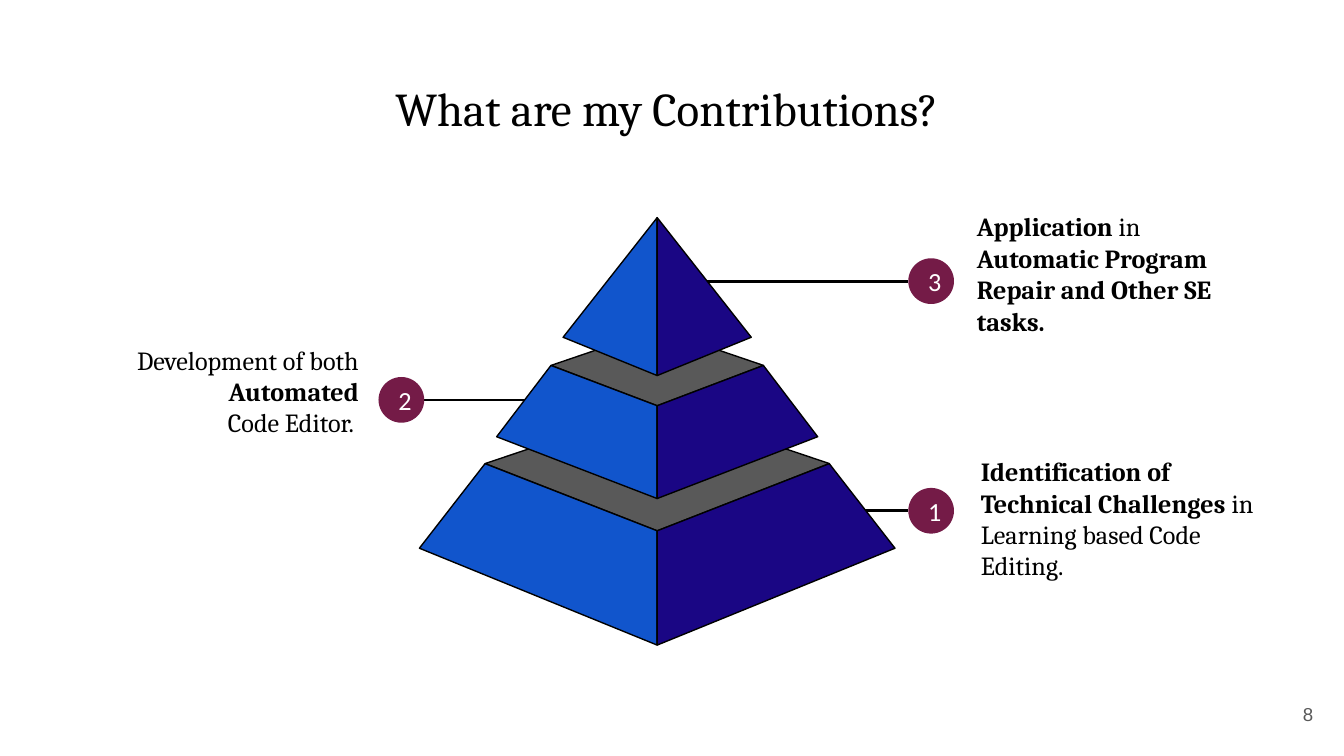
from lxml import etree
from pptx import Presentation
from pptx.dml.color import RGBColor
from pptx.enum.shapes import MSO_CONNECTOR, MSO_SHAPE
from pptx.enum.text import MSO_ANCHOR, PP_ALIGN
from pptx.oxml.ns import qn
from pptx.util import Pt

STRAIGHT = MSO_CONNECTOR.STRAIGHT
OVAL = MSO_SHAPE.OVAL
TOP, MIDDLE = MSO_ANCHOR.TOP, MSO_ANCHOR.MIDDLE
LEFT, CENTER, RIGHT = PP_ALIGN.LEFT, PP_ALIGN.CENTER, PP_ALIGN.RIGHT

COLORS = {
    "ink": "000000",
    "light": "FFFFFF",
    "grey": "595959",
    "left_face": "1155CC",
    "right_face": "1A0684",
    "badge": "741B47",
}
INSET = 7.2
BADGE = 24.5

# (shoulder half-width, foot half-width, back, shoulder, front, foot, base)
TIERS = [
    (92.2, 127.4, 100.8, 131.8, 167.8, 177.1, 229),
    (56.9, 86, 59.8, 79.2, 100.8, 117.4, 150.5),
    (0, 50.4, 0, 0, 0, 64.1, 84.6),
]

CALLOUTS = [
    {"number": "1", "badge": (486.6, 261.4), "pyramid_x": 460,
     "box": (518.4, 236.9, 165.6, 99.4), "align": LEFT,
     "runs": [("Identification of Technical Challenges ", True),
              ("in Learning based Code Editing.", False)]},
    {"number": "2", "badge": (202.8, 202), "pyramid_x": 295.2,
     "box": (33.8, 177.1, 165.6, 81.4), "align": RIGHT,
     "runs": [("Development of both", False), (" Automated", True),
              ("\n", True), ("Code Editor. ", False)]},
    {"number": "3", "badge": (486.6, 138.4), "pyramid_x": 378,
     "box": (516.2, 105.8, 150.5, 115.2), "align": LEFT,
     "runs": [("Application", True), (" in ", False),
              ("Automatic Program Repair and Other SE tasks.", True)]},
]


def rgb(name):
    """Return the palette colour with the given name."""
    return RGBColor.from_string(COLORS[name])


def write(frame, runs, size, font, color, align=LEFT, anchor=TOP):
    """Fill a text frame with one paragraph of (text, bold) runs."""
    frame.word_wrap = True
    frame.vertical_anchor = anchor
    frame.margin_left = frame.margin_right = Pt(INSET)
    frame.margin_top = frame.margin_bottom = Pt(INSET)
    paragraph = frame.paragraphs[0]
    paragraph.alignment = align
    for words, bold in runs:
        if words == "\n":
            paragraph.add_line_break()
            continue
        run = paragraph.add_run()
        run.text = words
        run.font.size = Pt(size)
        run.font.name = font
        run.font.bold = bold
        run.font.color.rgb = rgb(color)
    return paragraph


def add_text(slide, box, runs, size, font, color, align=LEFT, anchor=TOP):
    """Place a text box and return its paragraph."""
    label = slide.shapes.add_textbox(*map(Pt, box))
    return write(label.text_frame, runs, size, font, color, align, anchor)


def add_leader(slide, start_x, end_x, y):
    """Draw a level black line from the pyramid to a badge."""
    leader = slide.shapes.add_connector(STRAIGHT, Pt(start_x), Pt(y), Pt(end_x), Pt(y))
    leader.line.color.rgb = rgb("ink")
    leader.line.width = Pt(1.5)
    etree.SubElement(leader._element.spPr, qn("a:effectLst"))


def add_callout(slide, callout):
    """Place a leader, a numbered badge and its description."""
    left, top = callout["badge"]
    on_right = callout["pyramid_x"] < left
    add_leader(slide, callout["pyramid_x"], left if on_right else left + BADGE, top + BADGE / 2)
    badge = slide.shapes.add_shape(OVAL, Pt(left), Pt(top), Pt(BADGE), Pt(BADGE))
    badge.shadow.inherit = False
    badge.fill.solid()
    badge.fill.fore_color.rgb = rgb("badge")
    badge.line.fill.background()
    write(badge.text_frame, [(callout["number"], False)], 14, "Calibri", "light", anchor=MIDDLE)
    description = add_text(slide, callout["box"], callout["runs"], 14, "Cambria", "ink",
                           callout["align"])
    description.space_after = Pt(16)


def add_face(slide, apex, points, color):
    """Draw one outlined face from points relative to the apex."""
    corners = [(Pt(apex[0] + x), Pt(apex[1] + y)) for x, y in points]
    builder = slide.shapes.build_freeform(*corners[0])
    builder.add_line_segments(corners[1:], close=True)
    face = builder.convert_to_shape()
    face.shadow.inherit = False
    face.fill.solid()
    face.fill.fore_color.rgb = rgb(color)
    face.line.color.rgb = rgb("ink")
    face.line.width = Pt(0.75)


def add_pyramid(slide, apex):
    """Stack the tiers from bottom to top below the apex."""
    for shoulder_half, foot_half, back, shoulder, front, foot, base in TIERS:
        if shoulder_half:
            lid = [(-shoulder_half, shoulder), (0, front), (shoulder_half, shoulder), (0, back)]
            add_face(slide, apex, lid, "grey")
        for side, color in ((-1, "left_face"), (1, "right_face")):
            face = [(side * shoulder_half, shoulder), (side * foot_half, foot), (0, base)]
            if shoulder_half:
                face.append((0, front))
            add_face(slide, apex, face, color)


def main():
    """Build and save the contributions slide."""
    deck = Presentation()
    deck.slide_width, deck.slide_height = Pt(720), Pt(405)
    slide = deck.slides.add_slide(deck.slide_layouts[6])
    add_text(slide, (24.5, 35.3, 671, 45.4), [("What are my Contributions? ", False)],
             25.2, "Cambria", "ink", CENTER)
    for callout in CALLOUTS:
        add_callout(slide, callout)
    add_pyramid(slide, (352.1, 116.6))
    add_text(slide, (667.4, 367.2, 43.2, 31), [("8", False)], 10, "Arial", "grey", RIGHT, MIDDLE)
    deck.save("out.pptx")


if __name__ == "__main__":
    main()
